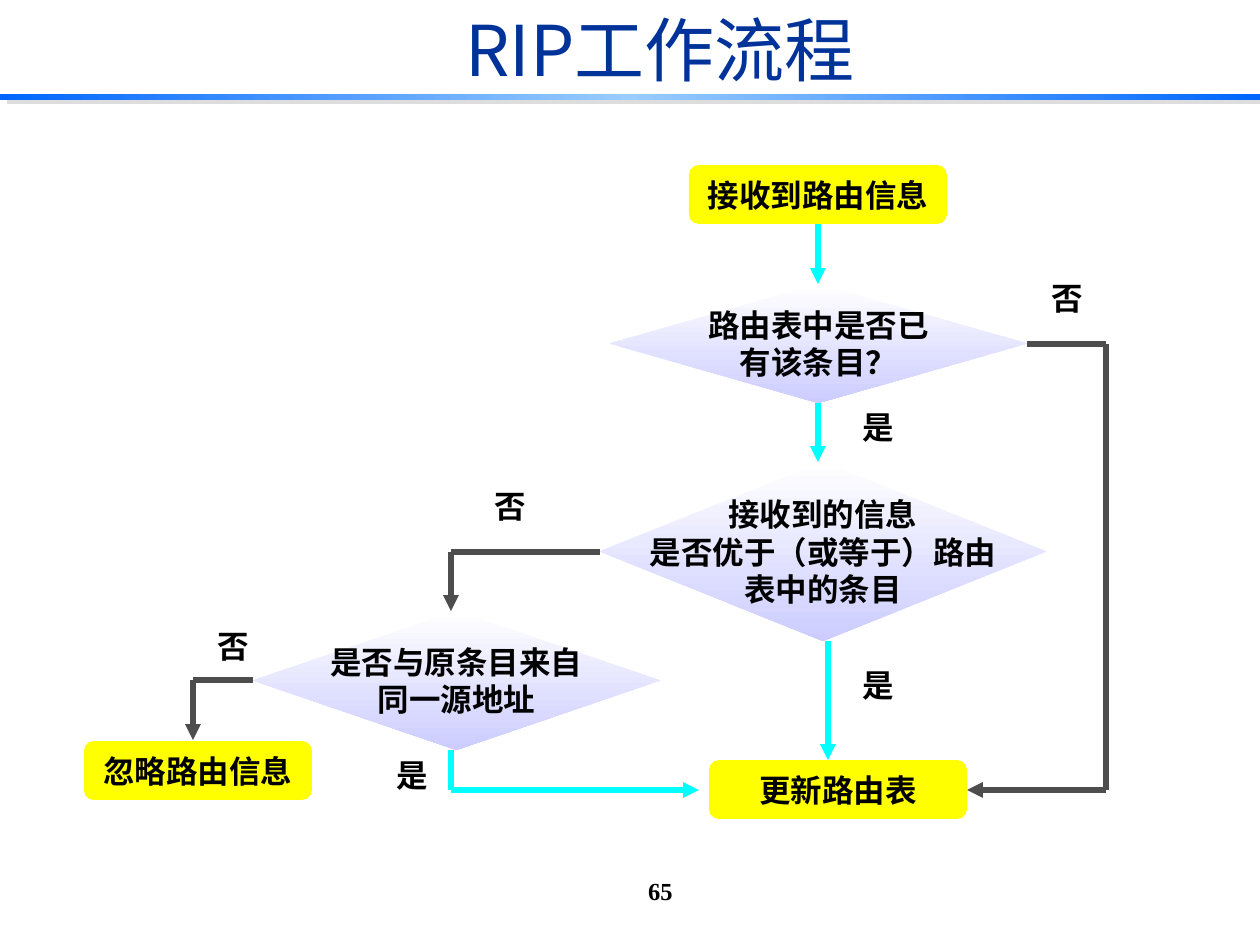
from lxml import etree
from pptx import Presentation
from pptx.dml.color import RGBColor
from pptx.enum.shapes import MSO_CONNECTOR, MSO_SHAPE
from pptx.enum.text import MSO_ANCHOR, PP_ALIGN
from pptx.oxml import parse_xml
from pptx.oxml.ns import nsdecls, qn
from pptx.util import Emu, Pt

STRAIGHT = MSO_CONNECTOR.STRAIGHT
RECT, ROUNDED, DIAMOND = MSO_SHAPE.RECTANGLE, MSO_SHAPE.ROUNDED_RECTANGLE, MSO_SHAPE.DIAMOND
MIDDLE, BOTTOM = MSO_ANCHOR.MIDDLE, MSO_ANCHOR.BOTTOM
CENTER = PP_ALIGN.CENTER
SANS, SERIF = "Noto Sans CJK SC", "Times New Roman"
COLORS = {
    "title": "003399", "text": "000000", "bar": "0066FF", "bar_mid": "99CCFF",
    "bar_shadow": "DDDDDD", "step": "FFFF00", "light": "FFFFFF",
    "decision": "CCCCFF", "yes": "00FFFF", "no": "4D4D4D",
}


def px(n):
    """Convert pixels at 126 to the inch into EMU."""
    return Emu(round(n * 914400 / 126))


def rgb(name):
    """Return a named colour."""
    return RGBColor.from_string(COLORS[name])


def shadow_xml(color, dist, angle):
    """Return an outer shadow element; distance in points, angle in degrees."""
    return parse_xml(
        f'<a:outerShdw {nsdecls("a")} dist="{int(dist * 12700)}" dir="{angle * 60000}" '
        f'algn="ctr" rotWithShape="0"><a:srgbClr val="{COLORS[color]}"/></a:outerShdw>')


def set_gradient(sp, names, angle):
    """Fill a shape with evenly spaced colour stops."""
    step = 100000 // (len(names) - 1)
    stops = "".join(f'<a:gs pos="{i * step}"><a:srgbClr val="{COLORS[name]}"/></a:gs>'
                    for i, name in enumerate(names))
    sp._element.spPr.find(qn("a:prstGeom")).addnext(parse_xml(
        f'<a:gradFill {nsdecls("a")} rotWithShape="1"><a:gsLst>{stops}</a:gsLst>'
        f'<a:lin ang="{angle * 60000}" scaled="0"/></a:gradFill>'))


def write(sp, text, size=18, font=SANS, color="text", bold=True, anchor=MIDDLE,
          wrap=True, shadow=False):
    """Write centred lines of text into a shape."""
    tf = sp.text_frame
    tf.word_wrap = wrap
    tf.vertical_anchor = anchor
    for i, line in enumerate(text.split("\n")):
        p = tf.add_paragraph() if i else tf.paragraphs[0]
        p.alignment = CENTER
        r = p.add_run()
        r.text = line
        r.font.size, r.font.bold, r.font.name = Pt(size), bold, font
        r.font.color.rgb = rgb(color)
        rpr = r.font._element
        rpr.find(qn("a:latin")).addnext(
            parse_xml(f'<a:ea {nsdecls("a")} typeface="{font}"/>'))
        if shadow:
            effects = etree.Element(qn("a:effectLst"))
            effects.append(shadow_xml("text", 2, 45))
            rpr.find(qn("a:solidFill")).addnext(effects)


def add_text(s, box, text, **fmt):
    """Add a text box."""
    write(s.shapes.add_textbox(*map(px, box)), text, **fmt)


def add_block(s, kind, box):
    """Add a shape without outline or shadow."""
    sp = s.shapes.add_shape(kind, *map(px, box))
    sp.shadow.inherit = False
    sp.line.fill.background()
    return sp


def add_step(s, box, text):
    """Add a yellow action box."""
    sp = add_block(s, ROUNDED, box)
    sp.fill.solid()
    sp.fill.fore_color.rgb = rgb("step")
    write(sp, text, wrap=False)


def add_decision(s, box, text):
    """Add a shaded decision diamond."""
    sp = add_block(s, DIAMOND, box)
    set_gradient(sp, ["light", "decision"], 90)
    write(sp, text, wrap=False)


def add_route(s, color, *points):
    """Join points with straight lines, the last one ending in an arrowhead."""
    for start, end in zip(points, points[1:]):
        line = s.shapes.add_connector(STRAIGHT, *map(px, start + end))
        line.line.color.rgb = rgb(color)
        line.line.width = Pt(3)
        if end == points[-1]:
            etree.SubElement(line.line._get_or_add_ln(), qn("a:tailEnd"), type="triangle")
        etree.SubElement(line._element.spPr, qn("a:effectLst"))


def add_header(s, x, y, w, h):
    """Add the title and the shaded bar below it."""
    bar = add_block(s, RECT, (x, y + h - 6, w, 6))
    set_gradient(bar, ["bar", "bar_mid", "bar"], 0)
    bar._element.spPr.find(qn("a:effectLst")).append(shadow_xml("bar_shadow", 4.5, 27))
    add_text(s, (x + 123, y - 3, 1074, 103), "RIP工作流程", size=40, color="title",
             bold=False, shadow=True)


def add_flowchart(s, x, y):
    """Add the routing flowchart with its top left corner at x, y."""
    routes = [
        ("yes", (734, 59), (734, 119)),
        ("yes", (734, 238), (734, 297)),
        ("yes", (744, 476), (744, 595)),
        ("yes", (367, 585), (367, 625), (615, 625)),
        ("no", (516, 387), (367, 387), (367, 446)),
        ("no", (169, 515), (109, 515), (109, 575)),
        ("no", (943, 179), (1022, 179), (1022, 625), (883, 625)),
    ]
    for color, *points in routes:
        add_route(s, color, *((x + a, y + b) for a, b in points))
    for left, top, w, h, text in [
        (526, 119, 417, 119, "路由表中是否已\n有该条目？"),
        (516, 297, 446, 179, "接收到的信息\n是否优于（或等于）路由\n表中的条目"),
        (169, 446, 407, 139, "是否与原条目来自\n同一源地址"),
    ]:
        add_decision(s, (x + left, y + top, w, h), text)
    for left, top, w, text in [
        (605, 0, 258, "接收到路由信息"),
        (625, 595, 258, "更新路由表"),
        (0, 576, 228, "忽略路由信息"),
    ]:
        add_step(s, (x + left, y + top, w, 59), text)
    for left, top, text in [
        (705, 237, "是"), (705, 495, "是"), (239, 585, "是"),
        (337, 316, "否"), (60, 456, "否"), (894, 108, "否"),
    ]:
        add_text(s, (x + left, y + top, 179, 50), text, anchor=BOTTOM)


def main():
    """Build and save the slide."""
    prs = Presentation()
    prs.slide_width, prs.slide_height = px(1260), px(945)
    s = prs.slides.add_slide(prs.slide_layouts[6])
    add_header(s, 0, 0, 1260, 100)
    add_text(s, (461, 859, 399, 63), "65", size=14, font=SERIF)
    add_flowchart(s, 84, 165)
    prs.save("out.pptx")


if __name__ == "__main__":
    main()
